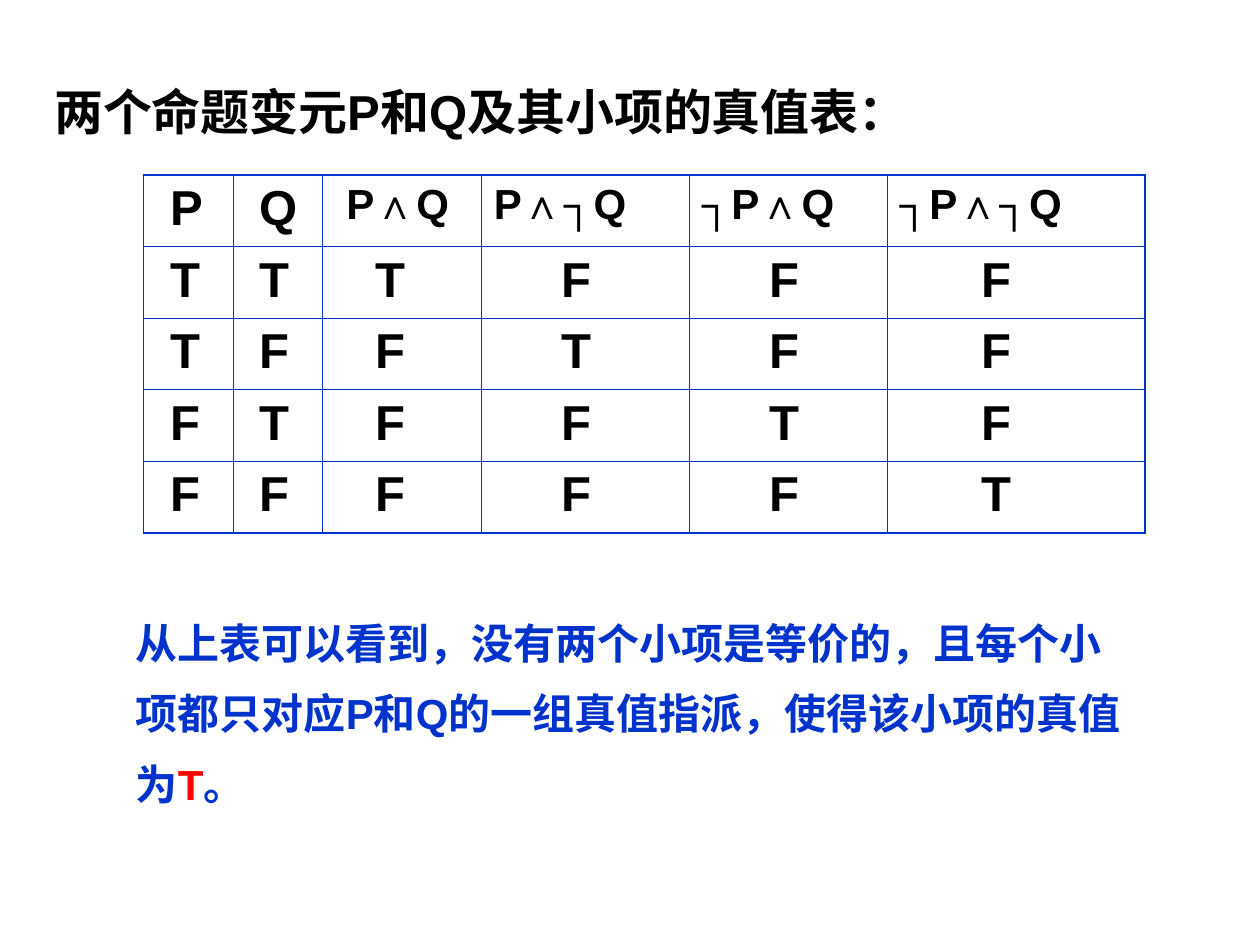
from dataclasses import dataclass

from lxml.etree import SubElement
from pptx import Presentation
from pptx.dml.color import RGBColor
from pptx.enum.text import MSO_ANCHOR, PP_ALIGN
from pptx.oxml.ns import qn
from pptx.util import Inches, Pt

COLUMNS, ROWS = 100, 75
SLIDE_WIDTH, SLIDE_HEIGHT = Inches(10), Inches(7.5)


@dataclass(frozen=True)
class Theme:
    font: str = "Arial"
    ink: str = "000000"
    blue: str = "0033CC"
    red: str = "FF0000"
    large: int = 28
    medium: int = 24
    outer_line: float = 1.08
    inner_line: float = 0.45


@dataclass(frozen=True)
class Box:
    left: float
    top: float
    width: float
    height: float

    def lengths(self):
        return (across(self.left), down(self.top), across(self.width), down(self.height))


THEME = Theme()
TITLE = "两个命题变元P和Q及其小项的真值表："
HEADERS = ["P", "Q", "P∧Q", "P∧┐Q", "┐P∧Q", "┐P∧┐Q"]
TRUTH_ROWS = ["TTTFFF", "TFFTFF", "FTFFTF", "FFFFFT"]
COLUMN_SHARES = [7.1, 7.1, 12.6, 16.5, 15.7, 20.5]
HEADER_INDENTS = [2.1, 2.1, 1.9, 1, 1, 1]
VALUE_INDENTS = [2.1, 2.1, 4.2, 6.4, 6.4, 7.5]
CONCLUSION = [
    ("从上表可以看到，没有两个小项是等价的，且每个小项都只对应P和Q的一组真值指派，"
     "使得该小项的真值为", THEME.blue),
    ("T", THEME.red),
    ("。", THEME.blue),
]


def across(columns):
    return round(SLIDE_WIDTH * columns / COLUMNS)


def down(rows):
    return round(SLIDE_HEIGHT * rows / ROWS)


def style_paragraph(para, size, color=None):
    para.font.name = THEME.font
    para.font.size = Pt(size)
    para.font.bold = True
    if color:
        para.font.color.rgb = RGBColor.from_string(color)


def add_title(page, box):
    title = page.shapes.title
    title.left, title.top, title.width, title.height = box.lengths()
    frame = title.text_frame
    frame.text = TITLE
    frame.word_wrap = True
    frame.vertical_anchor = MSO_ANCHOR.TOP
    para = frame.paragraphs[0]
    para.alignment = PP_ALIGN.LEFT
    style_paragraph(para, THEME.large, THEME.ink)


def set_borders(cell, outer_sides):
    properties = cell._tc.get_or_add_tcPr()
    for side in "LRTB":
        width = THEME.outer_line if side in outer_sides else THEME.inner_line
        line = SubElement(properties, qn(f"a:ln{side}"), w=str(Pt(width)))
        fill = SubElement(line, qn("a:solidFill"))
        SubElement(fill, qn("a:srgbClr"), val=THEME.blue)


def add_truth_table(page, box):
    grid = [HEADERS, *TRUTH_ROWS]
    last_row, last_column = len(grid) - 1, len(HEADERS) - 1
    table = page.shapes.add_table(len(grid), len(HEADERS), *box.lengths()).table
    table.first_row = table.horz_banding = False
    for column, share in zip(table.columns, COLUMN_SHARES):
        column.width = across(share)
    for row_index, values in enumerate(grid):
        table.rows[row_index].height = down(box.height / len(grid))
        indents = VALUE_INDENTS if row_index else HEADER_INDENTS
        for column_index, value in enumerate(values):
            cell = table.cell(row_index, column_index)
            cell.text = value
            cell.margin_left = across(indents[column_index])
            edges = {"T": row_index == 0, "B": row_index == last_row,
                     "L": column_index == 0, "R": column_index == last_column}
            set_borders(cell, [side for side, outer in edges.items() if outer])
            cell.fill.background()
            is_formula = len(value) > 1
            style_paragraph(cell.text_frame.paragraphs[0],
                            THEME.medium if is_formula else THEME.large, THEME.ink)


def add_conclusion(page, box):
    frame = page.shapes.add_textbox(*box.lengths()).text_frame
    frame.word_wrap = True
    para = frame.paragraphs[0]
    para.line_spacing = 1.4
    style_paragraph(para, THEME.medium)
    for text, color in CONCLUSION:
        span = para.add_run()
        span.text = text
        span.font.color.rgb = RGBColor.from_string(color)


def main():
    deck = Presentation()
    deck.slide_width, deck.slide_height = SLIDE_WIDTH, SLIDE_HEIGHT
    page = deck.slides.add_slide(deck.slide_layouts[5])
    add_title(page, Box(3.3, 6, 93.9, 7.1))
    add_truth_table(page, Box(11.4, 13.9, sum(COLUMN_SHARES), 28.4))
    add_conclusion(page, Box(9.8, 46.9, 81.1, 17.8))
    deck.save("out.pptx")


if __name__ == "__main__":
    main()
